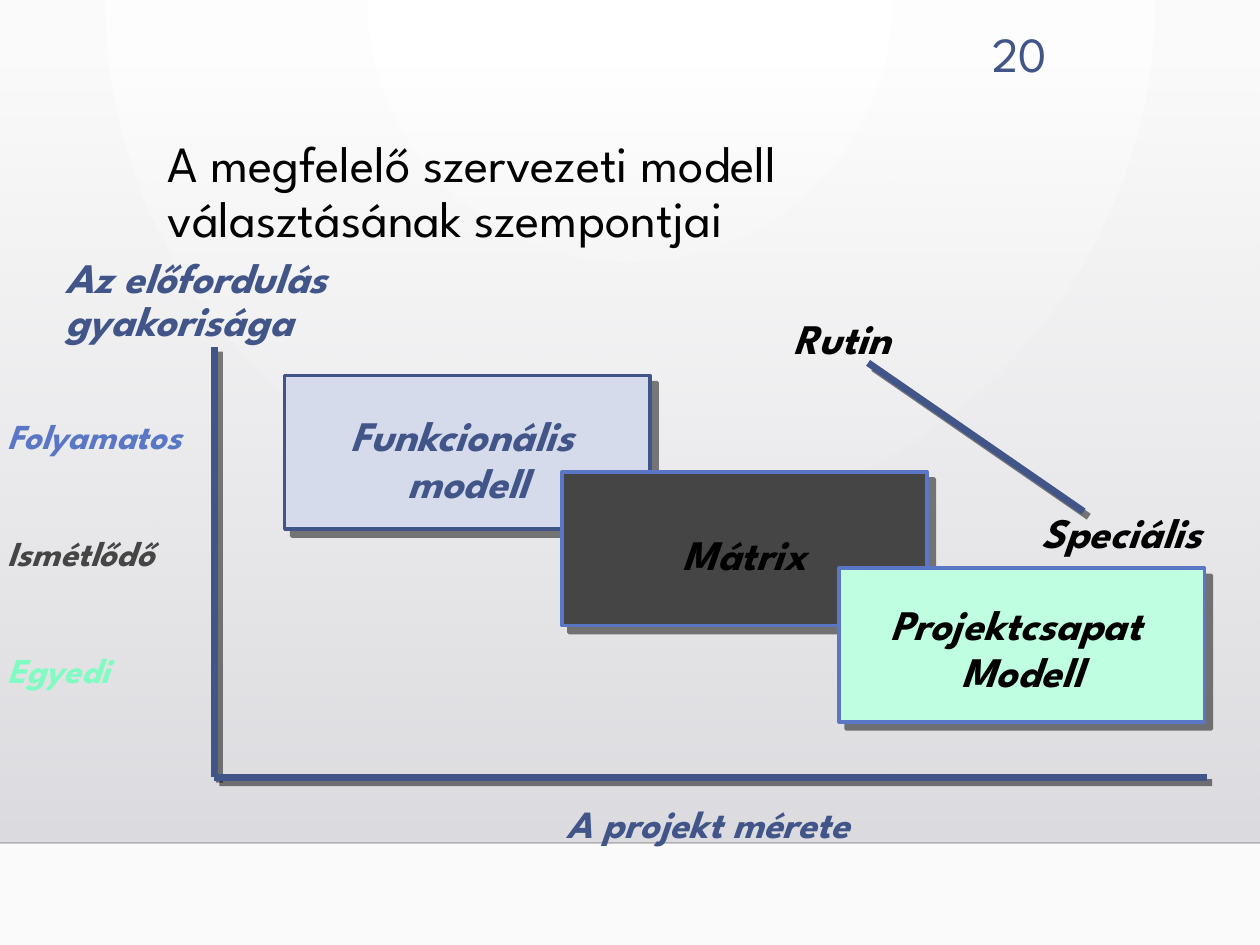
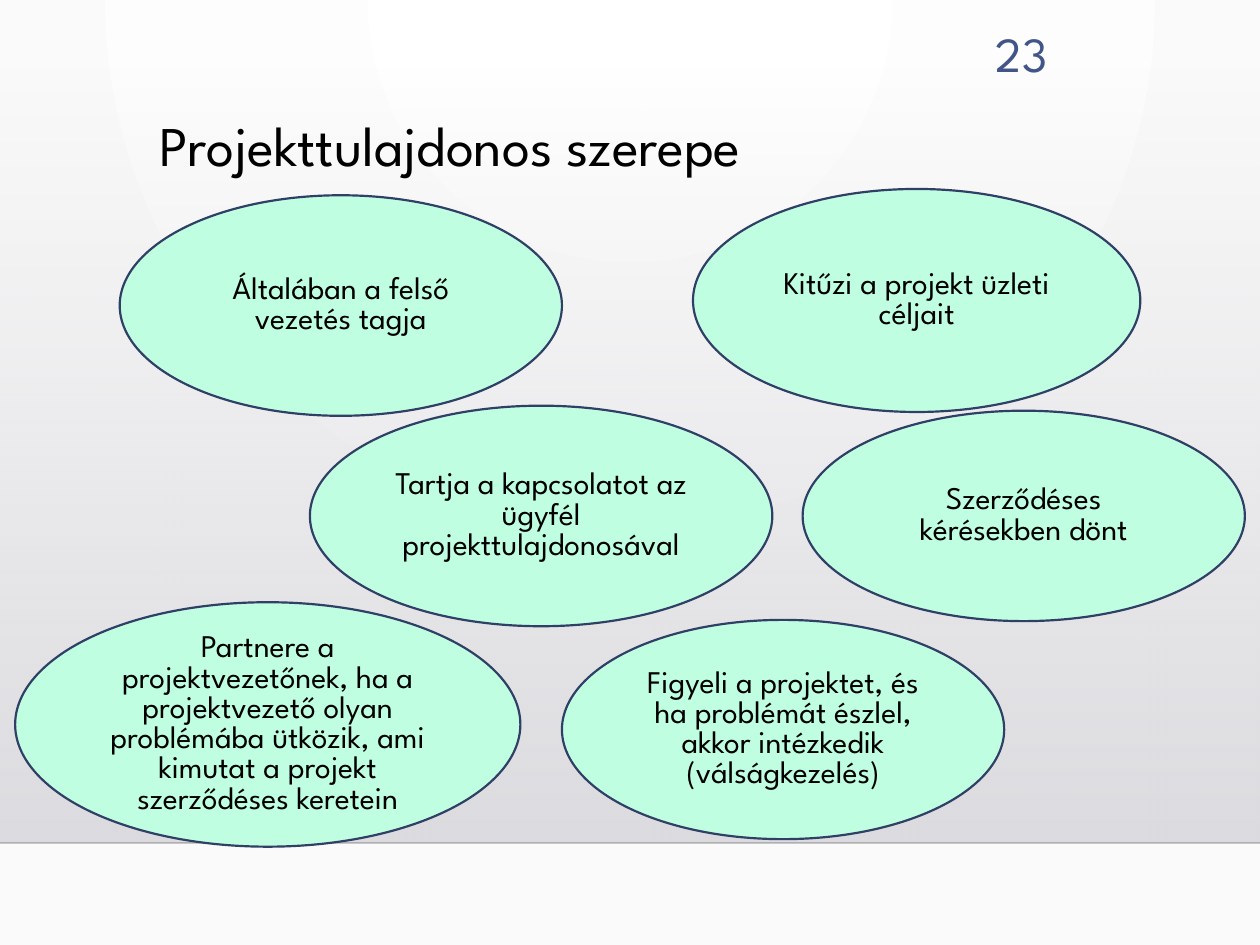
from lxml import etree
from pptx import Presentation
from pptx import oxml
from pptx.dml import color
from pptx.enum import shapes, text
from pptx.oxml import ns
from pptx.util import Inches, Pt

FONT = "League Spartan"
NAVY, BLUE, DARK, MINT, BLACK = "415588", "5977C4", "454545", "C0FEE1", "000000"
PALE, GREEN, OUTLINE = "D5DBEB", "80FCC2", "303F65"
ALIGN = text.PP_ALIGN


def rgb(code):
    """Turn a hex string into a colour."""
    return color.RGBColor.from_string(code)


def parts(*lengths):
    """Convert numbers to inches."""
    return [Inches(length) for length in lengths]


def stop(position, code, alpha=100):
    """Return one gradient stop as XML."""
    return (f'<a:gs pos="{position * 1000}"><a:srgbClr val="{code}">'
            f'<a:alpha val="{alpha * 1000}"/></a:srgbClr></a:gs>')


def set_gradient(fill_parent, stops, direction):
    """Replace the gradient found below an element."""
    old = fill_parent.find(".//" + ns.qn("a:gradFill"))
    new = oxml.parse_xml(f'<a:gradFill {ns.nsdecls("a")} rotWithShape="1">'
                         f'<a:gsLst>{"".join(stops)}</a:gsLst>{direction}</a:gradFill>')
    old.getparent().replace(old, new)


def add_shadow(properties, distance=None):
    """Add an offset shadow, or an empty effect list, to properties."""
    effects = etree.SubElement(properties, ns.qn("a:effectLst"))
    if distance:
        effects.append(oxml.parse_xml(
            f'<a:outerShdw {ns.nsdecls("a")} blurRad="0" dist="{Pt(distance)}" dir="2700000" '
            'algn="ctr" rotWithShape="0"><a:srgbClr val="000000"><a:alpha val="50000"/>'
            '</a:srgbClr></a:outerShdw>'))


def shadow_text(run):
    """Give a run a text shadow placed right after its fill."""
    properties = run.font._element
    add_shadow(properties, 2)
    properties.find(ns.qn("a:solidFill")).addnext(properties[-1])


def write(frame, lines, size, colors, spacing=1.0, after=0, align=ALIGN.LEFT,
          slanted=False):
    """Write paragraphs, taking one colour per line."""
    frame.word_wrap = True
    frame.text = "\n".join(lines)
    for paragraph, code in zip(frame.paragraphs, colors):
        paragraph.alignment = align
        paragraph.line_spacing = spacing
        paragraph.space_after = Pt(after)
        for run in paragraph.runs:
            font = run.font
            font.name, font.size = FONT, Pt(size)
            font.bold = font.italic = slanted
            font.color.rgb = rgb(code)
            if slanted and code != BLACK:
                shadow_text(run)


def add_text(slide, box, lines, size, colors, **style):
    """Add a text box."""
    write(slide.shapes.add_textbox(*parts(*box)).text_frame, lines, size, colors, **style)


def add_label(slide, box, lines, code, size=24, align=ALIGN.LEFT):
    """Add a bold italic diagram label."""
    add_text(slide, box, lines, size, [code] * len(lines), spacing=0.85,
             after=size / 10, align=align, slanted=True)


def add_line(slide, start, end, code, width, distance=None):
    """Add a straight line with an optional shadow."""
    line = slide.shapes.add_connector(shapes.MSO_CONNECTOR.STRAIGHT, *parts(*start, *end))
    line.line.color.rgb = rgb(code)
    line.line.width = Pt(width)
    add_shadow(line._element.spPr, distance)
    return line


def add_filled(slide, kind, box, fill, outline, width, distance=None):
    """Add a filled and outlined preset shape."""
    shape = slide.shapes.add_shape(kind, *parts(*box))
    shape.fill.solid()
    shape.fill.fore_color.rgb = rgb(fill)
    shape.line.color.rgb = rgb(outline)
    shape.line.width = Pt(width)
    add_shadow(shape._element.spPr, distance)
    return shape


def add_base(deck, number, title, title_box, title_size):
    """Start a slide with its background, panel, number and title."""
    slide = deck.slides.add_slide(deck.slide_layouts[6])
    slide.background.fill.gradient()
    set_gradient(slide._element, [stop(0, "FFFFFF"), stop(100, "FAFAFA")],
                 '<a:path path="circle"><a:fillToRect l="43000" r="43000" b="100000"/></a:path>')
    panel = slide.shapes.add_shape(shapes.MSO_SHAPE.RECTANGLE, *parts(0, 0.51, 10, 6.18))
    panel.fill.gradient()
    set_gradient(panel._element, [stop(0, "DCDCE0", 0), stop(100, "DEDEE2")],
                 '<a:lin ang="5400000" scaled="0"/>')
    panel.line.fill.background()
    panel.shadow.inherit = False
    floor = add_line(slide, (0, 6.69), (10, 6.69), "000001", 1)
    floor_color = floor._element.spPr.find(".//" + ns.qn("a:srgbClr"))
    etree.SubElement(floor_color, ns.qn("a:alpha")).set("val", "20000")
    add_text(slide, (7.54, 0.14, 0.87, 0.55), [number], 28, [NAVY], align=ALIGN.RIGHT)
    add_text(slide, title_box, [title], title_size, [BLACK], spacing=0.9)
    return slide


def add_models(slide, left, top):
    """Draw the staircase of organisation models from its top left corner."""
    models = [(["Funkcionális ", "modell"], PALE, NAVY, NAVY, 0.28),
              (["Mátrix"], DARK, BLUE, BLACK, 0.46),
              (["Projektcsapat ", "Modell"], MINT, BLUE, BLACK, 0.25)]
    for step, (name, fill, outline, ink, drop) in enumerate(models):
        x, y = left + 2.2 * step, top + 0.765 * step
        add_filled(slide, shapes.MSO_SHAPE.RECTANGLE, (x, y, 2.9, 1.22), fill, outline, 2, 5.7)
        add_label(slide, (x - 0.01, y + drop, 2.92, 0.82), name, ink, align=ALIGN.CENTER)


def add_model_chart(slide, left, top, width, height):
    """Draw the axes, their labels and the models inside a plot box."""
    right, bottom = left + width, top + height
    for start, end in [((left, top), (left, bottom)), ((left, bottom), (right, bottom)),
                       ((left + 5.19, top + 0.13), (left + 6.9, top + 1.31))]:
        add_line(slide, start, end, NAVY, 4, 4.2)
    add_models(slide, left + 0.56, top + 0.23)
    add_label(slide, (left - 1.28, top - 0.74, 3.07, 0.78),
              ["Az előfordulás gyakorisága"], NAVY)
    add_label(slide, (left + 2.7, bottom + 0.19, 2.61, 0.41), ["A projekt mérete"], NAVY, 22)
    add_text(slide, (left - 1.74, top + 0.54, 2.25, 2.31),
             ["Folyamatos", "Ismétlődő", "Egyedi"], 20, [BLUE, DARK, GREEN],
             spacing=0.85, after=46.5, slanted=True)
    add_label(slide, (left + 4.5, top - 0.26, 1.05, 0.44), ["Rutin"], BLACK)
    add_label(slide, (left + 6.47, top + 1.28, 1.65, 0.44), ["Speciális"], BLACK)


def add_roles(slide, left, top):
    """Scatter the owner's roles as ovals from the group's top left corner."""
    roles = [("Általában a felső vezetés tagja", 0.83, 0.05, 3.51, 1.75),
             ("Kitűzi a projekt üzleti céljait", 5.38, 0, 3.55, 1.77),
             ("Tartja a kapcsolatot az ügyfél projekttulajdonosával", 2.34, 1.72, 3.67, 1.75),
             ("Szerződéses kérésekben dönt", 6.25, 1.76, 3.51, 1.67),
             ("Partnere a projektvezetőnek, ha a projektvezető olyan problémába ütközik, "
              "ami kimutat a projekt szerződéses keretein", 0, 3.28, 4.01, 1.94),
             ("Figyeli a projektet, és ha problémát észlel, akkor intézkedik "
              "(válságkezelés)", 4.34, 3.42, 3.51, 1.74)]
    for role, x, y, width, height in roles:
        oval = add_filled(slide, shapes.MSO_SHAPE.OVAL, (left + x, top + y, width, height),
                          MINT, OUTLINE, 1.25)
        oval.text_frame.vertical_anchor = text.MSO_ANCHOR.MIDDLE
        write(oval.text_frame, [role], 18, [BLACK], spacing=0.8, align=ALIGN.CENTER)


def main():
    """Build both slides and save the deck."""
    deck = Presentation()
    deck.slide_width, deck.slide_height = parts(10, 7.5)
    models = add_base(deck, "20", "A megfelelő szervezeti modell választásának szempontjai",
                      (1.23, 1.05, 7.19, 1.15), 29)
    add_model_chart(models, 1.7, 2.75, 7.88, 3.42)
    owner = add_base(deck, "23", "Projekttulajdonos szerepe", (1.17, 0.89, 8.42, 0.92), 32)
    add_roles(owner, 0.12, 1.5)
    deck.save("out.pptx")


if __name__ == "__main__":
    main()
